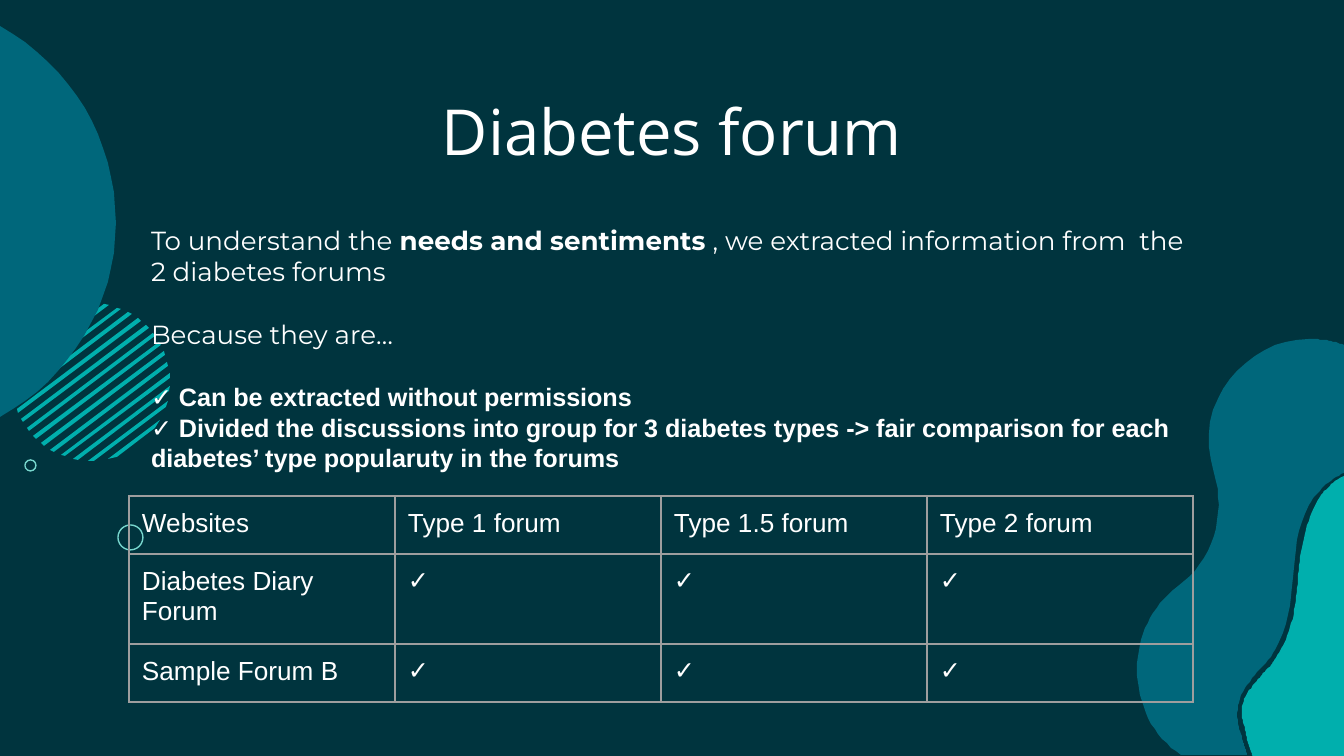
from math import atan2, sqrt
from lxml.etree import SubElement
from pptx import Presentation
from pptx.dml.color import RGBColor
from pptx.enum.shapes import MSO_SHAPE as Shape
from pptx.enum.text import MSO_ANCHOR as Anchor, MSO_AUTO_SIZE as AutoSize, PP_ALIGN as Align
from pptx.oxml.ns import qn
from pptx.util import Emu, Pt

# Content: each paragraph is (space before, font, size, [(text, bold)])
TITLE = "Diabetes forum"
BODY = [
    (0, "body", "text", [
        ("To understand the ", False),
        ("needs and sentiments", True),
        (" , we extracted information from  the 2 diabetes forums", False)]),
    (17, "body", "text", [("Because they are…", False)]),
    (17, "plain", "point", [("✓ Can be extracted without permissions", True)]),
    (0, "plain", "point", [
        ("✓ Divided the discussions into group for 3 diabetes types -> "
         "fair comparison for each diabetes’ type popularuty in the forums", True)]),
]
TICK = "✓"
ROWS = [
    ["Websites", "Type 1 forum", "Type 1.5 forum", "Type 2 forum"],
    ["Diabetes Diary Forum", TICK, TICK, TICK],
    ["Sample Forum B", TICK, TICK, TICK],
]

THEME = {
    "back": "00343E", "blue": "00677B", "teal": "00AFAD", "mint": "77D6CD",
    "white": "FFFFFF", "grid": "9E9E9E",
    "font": {"title": "Open Sans", "body": "Montserrat", "plain": "Arial"},
    "size": {"title": 34, "text": 14, "point": 13.5},
    "line": 0.75,
}

# Places in px: left, top, width, height
PAGE = (1344, 756)
TITLE_AT = (105, 79, 1134, 90)
BODY_AT = (138, 211, 1066, 521)
TABLE_AT = (129, 496)
COLUMN_WIDTH = 266
ROW_HEIGHTS = [58, 90, 58]
INSET = 13
RINGS = [(25, 460, 11), (118, 525, 25)]  # left, top, diameter
DISC = {"centre": (91, 382), "radius": 79, "stripes": 15, "gap": 10.5,
        "thick": 3.5, "slope": (0.8, -0.6)}

# Outlines: start point, then lines (2 numbers) and Bézier curves (6 numbers)
BIG_CIRCLE = [(116, 223), (116, 140, 71, 65, 0, 26), (0, 417),
              (70, 379, 116, 304, 116, 223)]
TEAL_WAVE = [
    (1253, 756), (1250, 749, 1247, 741, 1246, 732), (1242, 719, 1239, 707, 1247, 694),
    (1253, 684, 1261, 677, 1267, 669), (1274, 663, 1279, 653, 1284, 644),
    (1294, 622, 1297, 598, 1298, 575), (1301, 551, 1304, 526, 1316, 504),
    (1322, 492, 1332, 482, 1344, 476), (1344, 756)]
BLUE_WAVE = [
    (1181, 755), (1153, 737, 1137, 704, 1137, 669), (1137, 637, 1152, 606, 1177, 587),
    (1212, 562, 1227, 515, 1214, 473), (1191, 402, 1247, 339, 1309, 339),
    (1321, 339, 1333, 341, 1344, 345), (1344, 473), (1329, 480, 1317, 491, 1309, 505),
    (1285, 550, 1301, 606, 1275, 650), (1265, 669, 1243, 681, 1239, 703),
    (1235, 716, 1239, 728, 1243, 741), (1244, 745, 1246, 750, 1247, 755)]

SCALE = 9144000 / PAGE[0]
CURVE_STEPS = 16


def px(value):
    return Emu(round(value * SCALE))


def colour(name):
    return RGBColor.from_string(THEME[name])


def flatten(outline):
    """Turn lines and curves into a list of points."""
    points = [outline[0]]
    for step in outline[1:]:
        if len(step) == 2:
            points.append(step)
            continue
        corners = [points[-1], step[:2], step[2:4], step[4:]]
        for i in range(1, CURVE_STEPS + 1):
            t = i / CURVE_STEPS
            weights = ((1 - t) ** 3, 3 * t * (1 - t) ** 2, 3 * t * t * (1 - t), t ** 3)
            points.append(tuple(sum(w * corner[axis] for w, corner in zip(weights, corners))
                                for axis in (0, 1)))
    return points


def stripe_contours():
    """Clip parallel stripes to the disc."""
    (cx, cy), radius, (dx, dy) = DISC["centre"], DISC["radius"], DISC["slope"]
    contours = []
    for i in range(DISC["stripes"]):
        middle = (i - (DISC["stripes"] - 1) / 2) * DISC["gap"]
        corners = []
        for side in (-1, 1):
            offset = middle + side * DISC["thick"] / 2
            reach = sqrt(radius ** 2 - offset ** 2)
            for end in (side, -side):
                along = end * reach
                corners.append((cx + along * dx - offset * dy, cy + along * dy + offset * dx))
        contours.append(corners)
    return contours


def add_outline(page, contours, fill):
    first = contours[0][0]
    builder = page.shapes.build_freeform(*first, scale=SCALE)
    for index, points in enumerate(contours):
        if index:
            builder.move_to(*points[0])
        builder.add_line_segments(points[1:], close=True)
    shape = builder.convert_to_shape()
    shape.shadow.inherit = False
    shape.fill.solid()
    shape.fill.fore_color.rgb = colour(fill)
    shape.line.fill.background()


def add_span(para, text, font, size, bold=False):
    span = para.add_run()
    span.text = text
    span.font.name = THEME["font"][font]
    span.font.size = Pt(THEME["size"][size])
    span.font.bold = bold
    span.font.color.rgb = colour("white")


def place(box, area):
    box.left, box.top, box.width, box.height = map(px, area)
    frame = box.text_frame
    frame.word_wrap = True
    frame.auto_size = AutoSize.NONE
    frame.vertical_anchor = Anchor.TOP
    frame.margin_left = frame.margin_right = frame.margin_top = frame.margin_bottom = px(INSET)
    return frame


def add_borders(cell):
    props = cell._tc.get_or_add_tcPr()
    for side in ("lnL", "lnR", "lnT", "lnB"):
        line = SubElement(props, qn(f"a:{side}"), w=str(Pt(THEME["line"])))
        SubElement(SubElement(line, qn("a:solidFill")), qn("a:srgbClr"), val=THEME["grid"])


deck = Presentation()
deck.slide_width, deck.slide_height = map(px, PAGE)
page = deck.slides.add_slide(deck.slide_layouts[1])
page.background.fill.solid()
page.background.fill.fore_color.rgb = colour("back")
title, body = page.placeholders

# Decoration
add_outline(page, stripe_contours(), "teal")
for outline, fill in ((BIG_CIRCLE, "blue"), (TEAL_WAVE, "teal"), (BLUE_WAVE, "blue")):
    add_outline(page, [flatten(outline)], fill)
for left, top, size in RINGS:
    ring = page.shapes.add_shape(Shape.OVAL, px(left), px(top), px(size), px(size))
    ring.shadow.inherit = False
    ring.fill.background()
    ring.line.color.rgb = colour("mint")
    ring.line.width = Pt(THEME["line"])

# Title and body, brought in front of the decoration
for box in (title, body):
    page.shapes._spTree.append(box._element)
para = place(title, TITLE_AT).paragraphs[0]
para.alignment = Align.CENTER
add_span(para, TITLE, "title", "title")

frame = place(body, BODY_AT)
for index, (before, font, size, spans) in enumerate(BODY):
    para = frame.add_paragraph() if index else frame.paragraphs[0]
    props = para._p.get_or_add_pPr()
    props.set("marL", "0")
    props.set("indent", "0")
    SubElement(props, qn("a:buNone"))
    para.space_before = Pt(before)
    for text, bold in spans:
        add_span(para, text, font, size, bold)

# Table
columns = len(ROWS[0])
table = page.shapes.add_table(len(ROWS), columns, *map(px, TABLE_AT),
                              px(COLUMN_WIDTH * columns), px(sum(ROW_HEIGHTS))).table
table.first_row = table.horz_banding = False
for column in table.columns:
    column.width = px(COLUMN_WIDTH)
for r, texts in enumerate(ROWS):
    table.rows[r].height = px(ROW_HEIGHTS[r])
    for c, text in enumerate(texts):
        cell = table.cell(r, c)
        cell.margin_left = cell.margin_right = cell.margin_top = cell.margin_bottom = px(INSET)
        add_borders(cell)
        cell.fill.background()
        ticked = text == TICK
        add_span(cell.text_frame.paragraphs[0], text, "plain",
                 "point" if ticked else "text", ticked)

deck.save("out.pptx")
